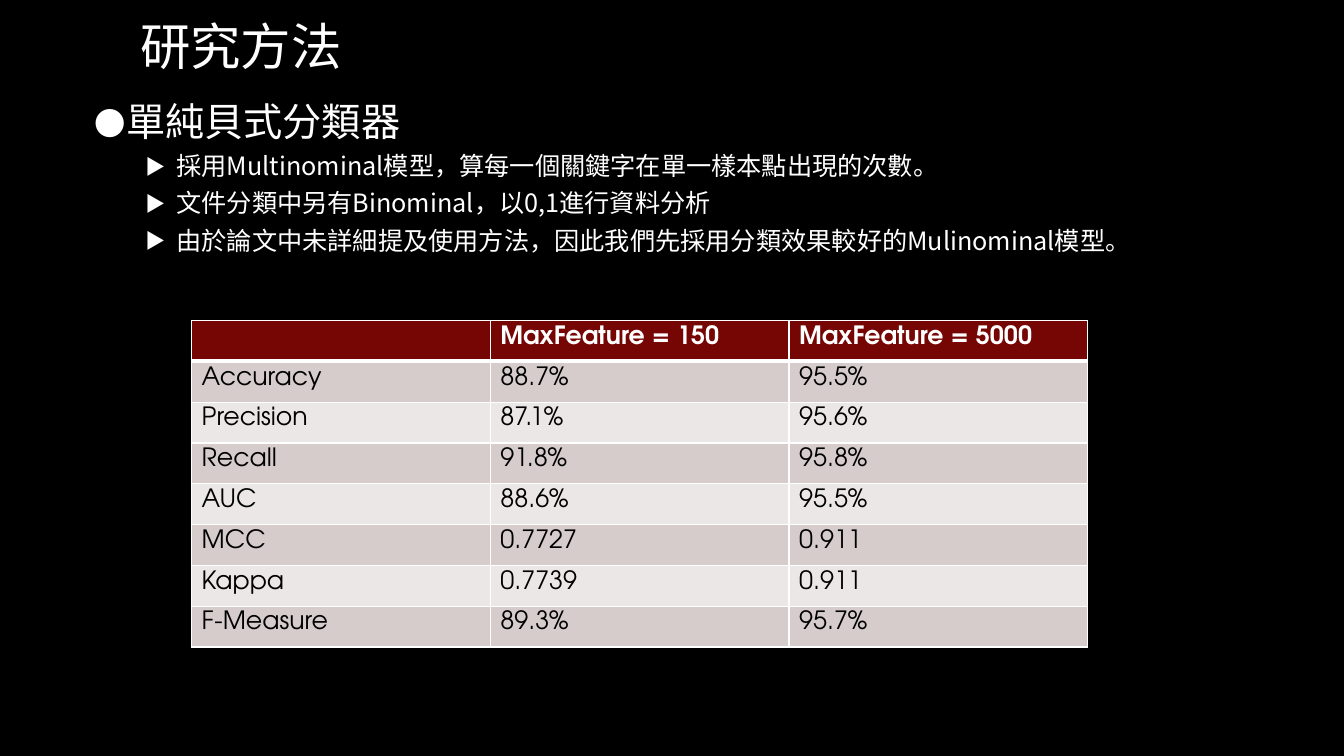
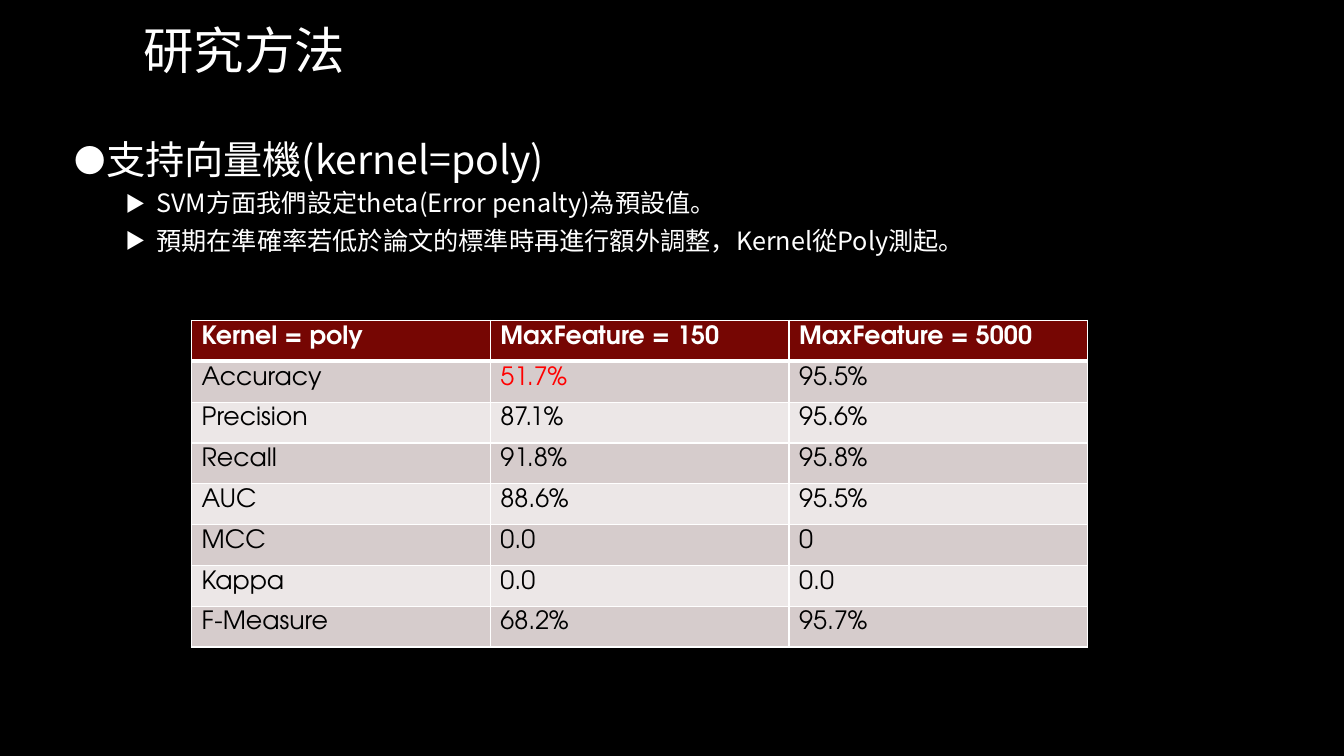
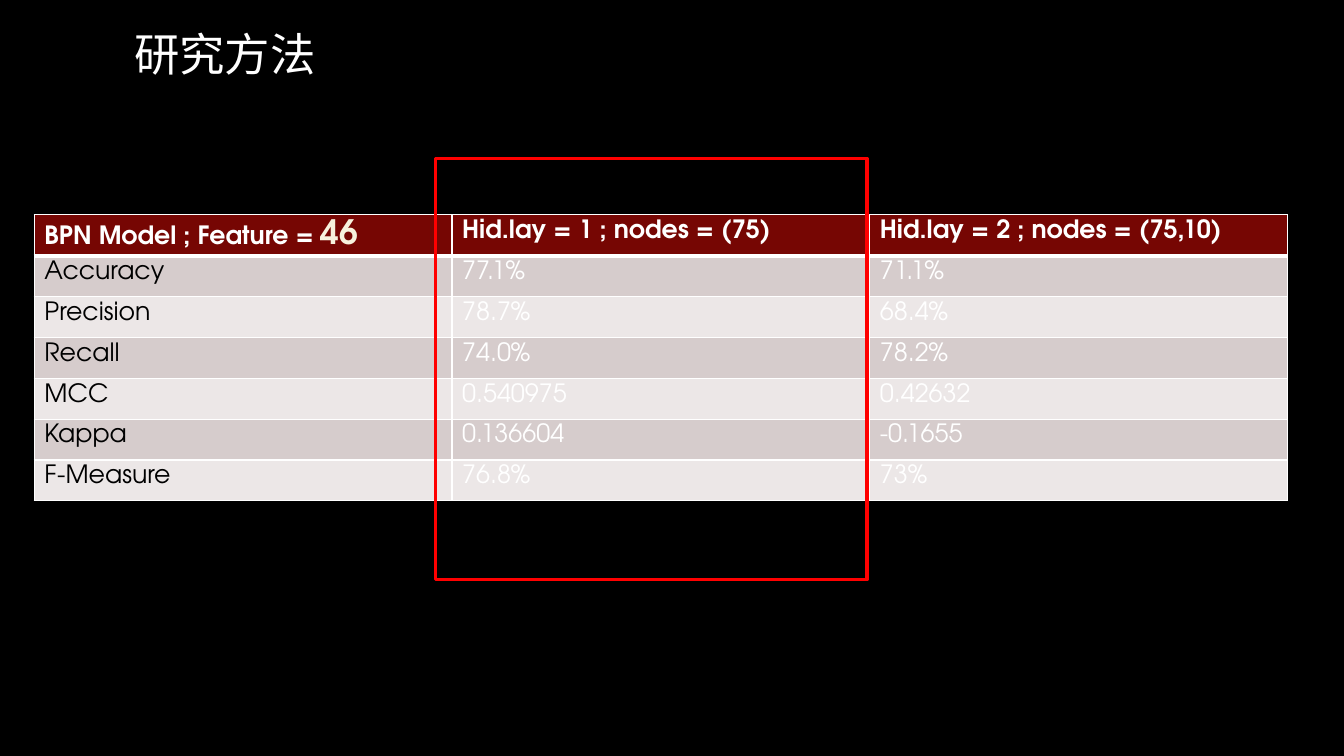
from dataclasses import dataclass

from lxml.etree import SubElement
from pptx import Presentation
from pptx.dml.color import RGBColor
from pptx.enum.shapes import MSO_SHAPE
from pptx.enum.text import MSO_ANCHOR, MSO_AUTO_SIZE, PP_ALIGN
from pptx.oxml import parse_xml
from pptx.oxml.ns import nsdecls, qn
from pptx.util import Inches, Pt


# Shared colours, fonts and type sizes
@dataclass(frozen=True)
class Theme:
    back: str = "000000"
    white: str = "FFFFFF"
    black: str = "000000"
    red: str = "FF0000"
    cream: str = "F7F1DD"
    head: str = "760603"
    bands: tuple = ("D6CCCC", "ECE7E7")
    sans: str = "Noto Sans CJK SC"
    round: str = "TeX Gyre Adventor"
    title: float = 36
    lead: float = 28
    text: float = 18
    large: float = 24


THEME = Theme()
TITLE = "研究方法"


def color(code):
    return RGBColor.from_string(code)


def place(shape, left, top, width, height):
    shape.left, shape.top = Inches(left), Inches(top)
    shape.width, shape.height = Inches(width), Inches(height)


def style(para, size, ink, face, bold=False):
    font = para.font
    font.size, font.bold, font.name = Pt(size), bold, face
    font.color.rgb = color(ink)
    props = para._p.pPr.find(qn("a:defRPr"))
    SubElement(props, qn("a:ea"), typeface=face)


def bullet(para, mark, indent):
    props = para._p.get_or_add_pPr()
    props.set("marL", str(Inches(indent)))
    props.set("indent", str(Inches(-0.31)))
    fonts = props.find(qn("a:defRPr"))
    ns = nsdecls("a")
    for part in (
        f'<a:buClr {ns}><a:srgbClr val="{THEME.white}"/></a:buClr>',
        f'<a:buSzPct {ns} val="80000"/>',
        f'<a:buFont {ns} typeface="{THEME.sans}"/>',
        f'<a:buChar {ns} char="{mark}"/>',
    ):
        fonts.addprevious(parse_xml(part))


# Title and list placeholders
def add_title(slide, box, size=THEME.title):
    shape = slide.shapes.title
    place(shape, *box)
    frame = shape.text_frame
    frame.text = TITLE
    frame.auto_size = MSO_AUTO_SIZE.NONE
    frame.vertical_anchor = MSO_ANCHOR.MIDDLE
    para = frame.paragraphs[0]
    para.alignment = PP_ALIGN.LEFT
    style(para, size, THEME.white, THEME.sans)


def add_list(slide, box, lead, points):
    shape = slide.placeholders[1]
    place(shape, *box)
    frame = shape.text_frame
    frame.text = "\n".join([lead, *points])
    frame.auto_size = MSO_AUTO_SIZE.NONE
    frame.vertical_anchor = MSO_ANCHOR.TOP
    for i, para in enumerate(frame.paragraphs):
        para.level = 1 if i else 0
        para.space_before = Pt(0)
        para.space_after = Pt(5 if i else 4)
        style(para, THEME.text if i else THEME.lead, THEME.white, THEME.sans)
        bullet(para, "▶" if i else "●", 0.81 if i else 0.31)


# Table with a dark head and banded rows
def border(cell, row):
    props = cell._tc.get_or_add_tcPr()
    widths = {"L": 1, "R": 1, "T": 3 if row == 1 else 1, "B": 1 if row else 3}
    for i, (side, width) in enumerate(widths.items()):
        props.insert(i, parse_xml(
            f'<a:ln{side} {nsdecls("a")} w="{Pt(width)}"><a:solidFill>'
            f'<a:srgbClr val="{THEME.white}"/></a:solidFill></a:ln{side}>'))


def add_grid(slide, left, top, width, rows, ink=THEME.black):
    count = len(rows[0])
    high = 0.405
    frame = slide.shapes.add_table(
        len(rows), count, Inches(left), Inches(top),
        Inches(width), Inches(high * len(rows)))
    table = frame.table
    for r, row in enumerate(rows):
        table.rows[r].height = Inches(high)
        for c, text in enumerate(row):
            cell = table.cell(r, c)
            cell.text = text
            cell.fill.solid()
            fill = THEME.bands[(r - 1) % 2] if r else THEME.head
            cell.fill.fore_color.rgb = color(fill)
            tint = THEME.white if r == 0 else ink if c else THEME.black
            style(cell.text_frame.paragraphs[0], THEME.text, tint,
                  THEME.round, bold=r == 0)
            border(cell, r)
    return table


def add_frame(slide, box):
    shape = slide.shapes.add_shape(MSO_SHAPE.RECTANGLE, 0, 0, 0, 0)
    place(shape, *box)
    shape.shadow.inherit = False
    shape.fill.background()
    shape.line.color.rgb = color(THEME.red)
    shape.line.width = Pt(2.25)


# Slides
def bayes(deck):
    slide = deck.slides.add_slide(deck.slide_layouts[1])
    add_title(slide, (1.29, 0.19, 5.37, 0.51))
    add_list(slide, (0.84, 0.92, 11.65, 2.1), "單純貝式分類器", [
        "採用Multinominal模型，算每一個關鍵字在單一樣本點出現的次數。",
        "文件分類中另有Binominal，以0,1進行資料分析",
        "由於論文中未詳細提及使用方法，因此我們先採用分類效果較好的Mulinominal模型。",
    ])
    add_grid(slide, 1.9, 3.18, 8.89, [
        ("", "MaxFeature = 150", "MaxFeature = 5000"),
        ("Accuracy", "88.7%", "95.5%"),
        ("Precision", "87.1%", "95.6%"),
        ("Recall", "91.8%", "95.8%"),
        ("AUC", "88.6%", "95.5%"),
        ("MCC", "0.7727", "0.911"),
        ("Kappa", "0.7739", "0.911"),
        ("F-Measure", "89.3%", "95.7%"),
    ])


def vector(deck):
    slide = deck.slides.add_slide(deck.slide_layouts[1])
    add_title(slide, (1.32, 0.22, 2.33, 0.54))
    add_list(slide, (0.64, 1.29, 11.65, 1.7), "支持向量機(kernel=poly)", [
        "SVM方面我們設定theta(Error penalty)為預設值。",
        "預期在準確率若低於論文的標準時再進行額外調整，Kernel從Poly測起。",
    ])
    table = add_grid(slide, 1.9, 3.18, 8.89, [
        ("Kernel = poly", "MaxFeature = 150", "MaxFeature = 5000"),
        ("Accuracy", "51.7%", "95.5%"),
        ("Precision", "87.1%", "95.6%"),
        ("Recall", "91.8%", "95.8%"),
        ("AUC", "88.6%", "95.5%"),
        ("MCC", "0.0", "0"),
        ("Kappa", "0.0", "0.0"),
        ("F-Measure", "68.2%", "95.7%"),
    ])
    low = table.cell(1, 1).text_frame.paragraphs[0]
    low.font.color.rgb = color(THEME.red)


def neural(deck):
    slide = deck.slides.add_slide(deck.slide_layouts[5])
    add_title(slide, (1.23, 0.23, 3.19, 0.6), 32.4)
    table = add_grid(slide, 0.34, 2.13, 12.43, [
        ("BPN Model ; Feature = ", "Hid.lay = 1 ; nodes = (75)",
         "Hid.lay = 2 ; nodes = (75,10)"),
        ("Accuracy", "77.1%", "71.1%"),
        ("Precision", "78.7%", "68.4%"),
        ("Recall", "74.0%", "78.2%"),
        ("MCC", "0.540975", "0.42632"),
        ("Kappa", "0.136604", "-0.1655"),
        ("F-Measure", "76.8%", "73%"),
    ], ink=THEME.white)
    count = table.cell(0, 0).text_frame.paragraphs[0].add_run()
    count.text = "46"
    count.font.size = Pt(THEME.large)
    count.font.color.rgb = color(THEME.cream)
    add_frame(slide, (4.32, 1.57, 4.28, 4.18))


def main():
    deck = Presentation()
    deck.slide_width, deck.slide_height = Inches(13.33), Inches(7.5)
    fill = deck.slide_master.background.fill
    fill.solid()
    fill.fore_color.rgb = color(THEME.back)
    for build in (bayes, vector, neural):
        build(deck)
    deck.save("out.pptx")


if __name__ == "__main__":
    main()
